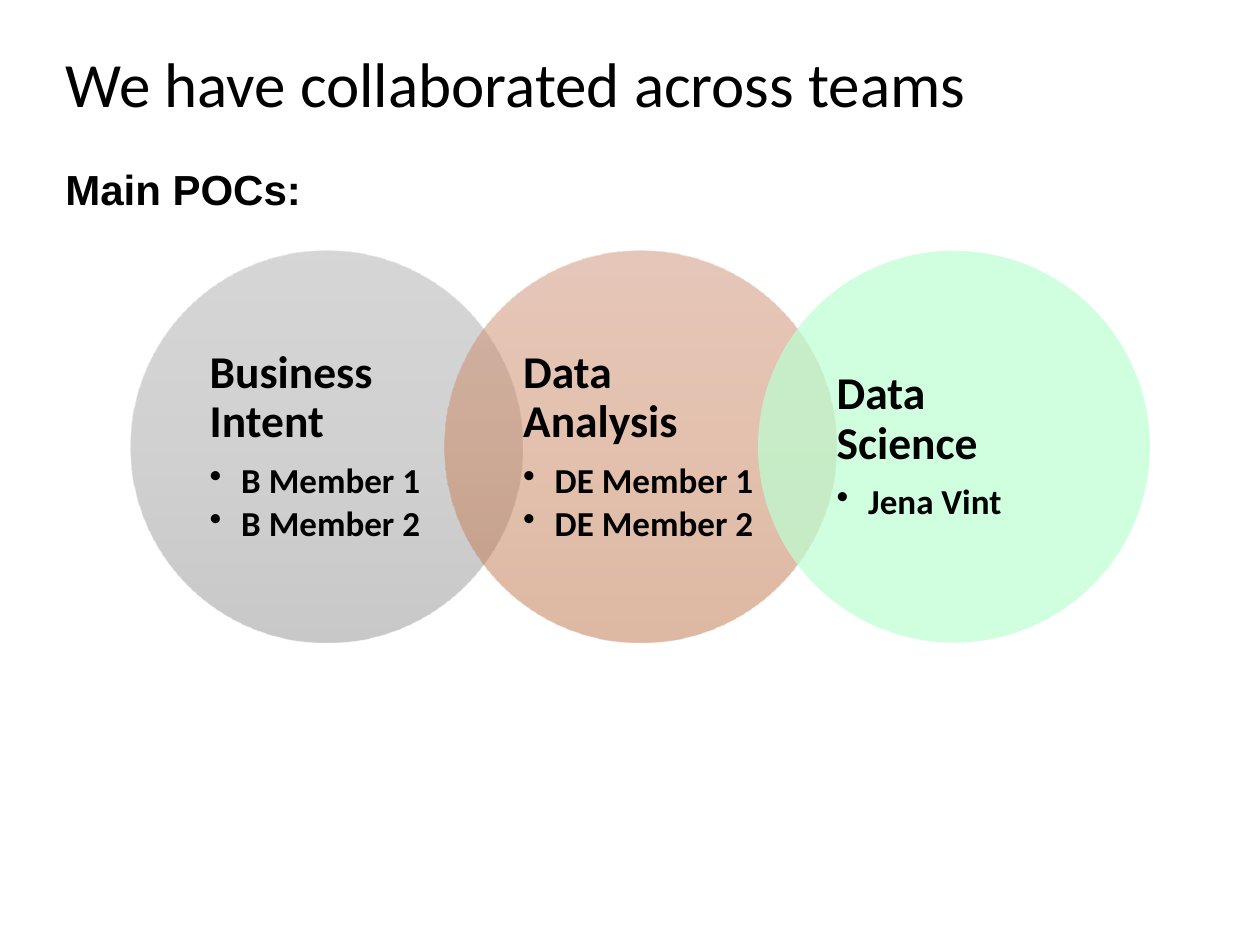
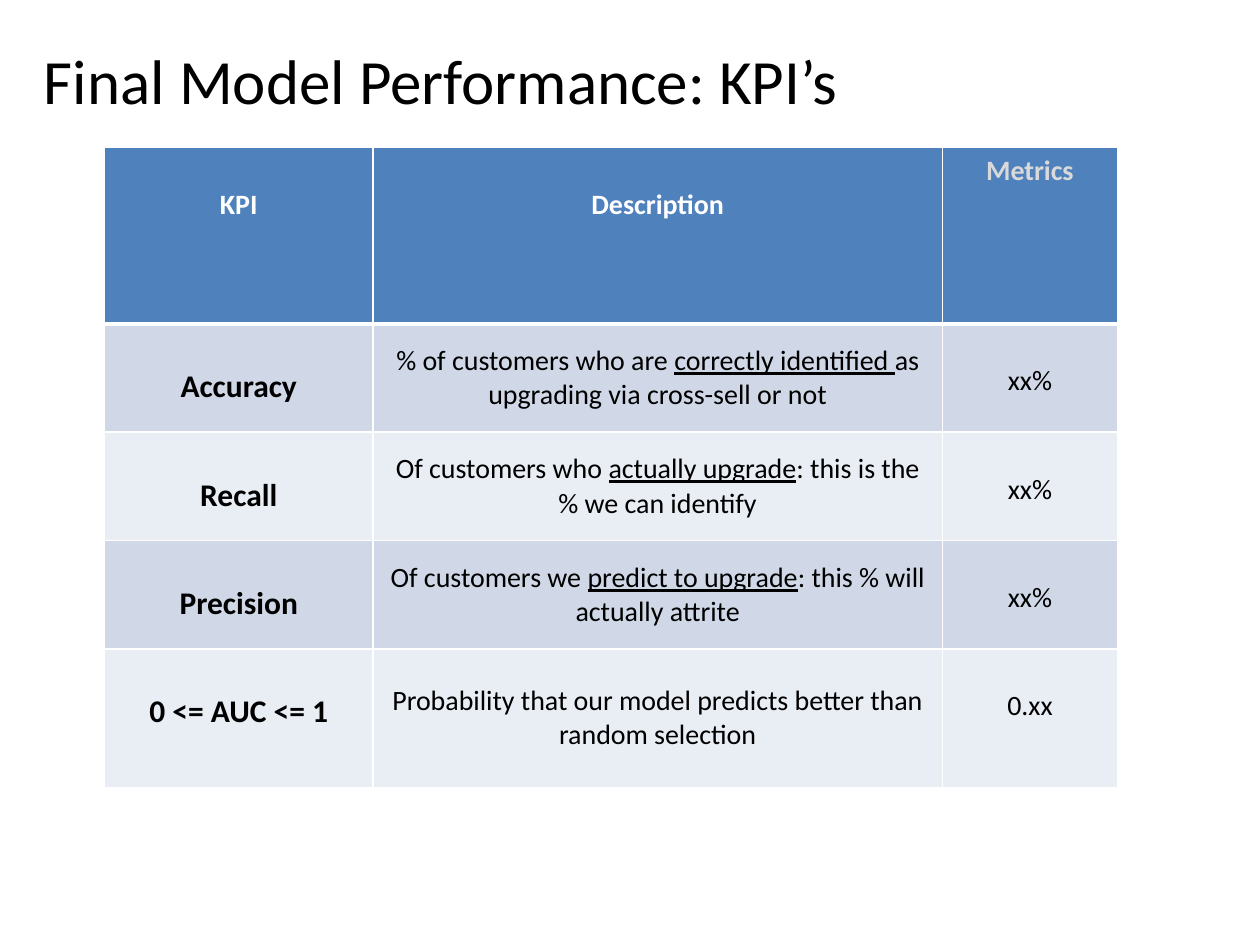
"""Builds two slides: the collaborating teams and the model's KPI table."""
from lxml.etree import SubElement
from pptx import Presentation
from pptx.dml.color import RGBColor
from pptx.enum.shapes import MSO_SHAPE as Shape
from pptx.enum.text import MSO_ANCHOR as Anchor, PP_ALIGN as Align
from pptx.oxml.ns import qn
from pptx.util import Inches, Pt

COLUMNS, ROWS = 100, 75
COLORS = {
    "ink": "000000", "white": "FFFFFF", "muted": "D9D9D9",
    "header": "4F81BD", "band_dark": "D0D8E8", "band_light": "E9EDF4",
    "grey_top": "AFAFAF", "grey_mid": "A5A5A5", "grey_low": "939393",
    "clay_top": "CF9073", "clay_mid": "CB855D", "clay_low": "BD7147",
    "mint": "BBFFD2",
}
TEAMS = [
    ("Business Intent", ["B Member 1", "B Member 2"], ["grey_top", "grey_mid", "grey_low"], 50),
    ("Data Analysis", ["DE Member 1", "DE Member 2"], ["clay_top", "clay_mid", "clay_low"], 50),
    ("Data Science", ["Jena Vint"], ["mint"], 70),
]
KPIS = [
    ("Accuracy", ["% of customers who are ", "correctly identified ",
                  "as upgrading via cross-sell or not"], "xx%"),
    ("Recall", ["Of customers who ", "actually upgrade",
                ": this is the % we can identify"], "xx%"),
    ("Precision", ["Of customers we ", "predict to upgrade",
                   ": this % will actually attrite"], "xx%"),
    ("0 <= AUC <= 1", ["Probability that our model predicts better than random selection"],
     "0.xx"),
]


class Deck:
    """Holds the shared style and the current slide."""

    def __init__(self):
        """Open an empty 10 by 7.5 inch presentation."""
        self.show = Presentation()
        self.show.slide_width, self.show.slide_height = Inches(10), Inches(7.5)
        self.column = self.show.slide_width / COLUMNS
        self.row = self.show.slide_height / ROWS

    def place(self, left, top, width, height):
        """Turn grid columns and rows into slide lengths."""
        return (round(left * self.column), round(top * self.row),
                round(width * self.column), round(height * self.row))

    def style(self, paragraph, size, color="ink", bold=False, font="Calibri"):
        """Format every run of a paragraph."""
        for run in paragraph.runs:
            run.font.size, run.font.bold, run.font.name = Pt(size), bold, font
            run.font.color.rgb = RGBColor.from_string(COLORS[color])

    def text(self, area, words, size, parent=None, anchor=Anchor.TOP, **look):
        """Add a wrapping text box and return its frame."""
        frame = (parent or self.slide).shapes.add_textbox(*self.place(*area)).text_frame
        frame.word_wrap, frame.vertical_anchor = True, anchor
        frame.text = words
        self.style(frame.paragraphs[0], size, **look)
        return frame

    def titled_slide(self, title, area):
        """Start a blank slide with the shared title style."""
        self.slide = self.show.slides.add_slide(self.show.slide_layouts[6])
        self.text(area, title, 36, anchor=Anchor.MIDDLE).paragraphs[0].line_spacing = 0.9

    def circle(self, parent, area, shades, opacity):
        """Add a see-through circle with a plain or vertical gradient fill."""
        disc = parent.shapes.add_shape(Shape.OVAL, *self.place(*area))
        disc.shadow.inherit = False
        disc.line.fill.background()
        if len(shades) == 1:
            disc.fill.solid()
            disc.fill.fore_color.rgb = RGBColor.from_string(COLORS[shades[0]])
        else:
            disc.fill.gradient()
            disc.fill.gradient_angle = 270
            stops = next(disc._element.spPr.iter(qn("a:gsLst")))
            stops.clear()
            for index, shade in enumerate(shades):
                position = index * 100000 // (len(shades) - 1)
                stop = SubElement(stops, qn("a:gs"), pos=str(position))
                SubElement(stop, qn("a:srgbClr"), val=COLORS[shade])
        for tint in disc._element.spPr.iter(qn("a:srgbClr")):
            SubElement(tint, qn("a:alpha"), val=str(opacity * 1000))

    def team(self, parent, area, name, members):
        """Add a team's name with its members as bullets."""
        frame = self.text(area, name, 26, parent, Anchor.MIDDLE, bold=True)
        frame.margin_left = frame.margin_right = Inches(0.17)
        frame.margin_top = frame.margin_bottom = Inches(0.04)
        frame.paragraphs[0].space_after = Pt(9)
        for member in members:
            line = frame.add_paragraph()
            line.text, line.level, line.space_after = member, 1, Pt(3)
            self.style(line, 20, bold=True)
            props = line._p.get_or_add_pPr()
            props.set("marL", str(Inches(0.25)))
            props.set("indent", str(-Inches(0.25)))
            SubElement(props, qn("a:buChar"), char="•")
        for line in frame.paragraphs:
            line.line_spacing = 0.9

    def table(self, area, widths, heights):
        """Add a table with the given column widths and row heights."""
        grid = self.slide.shapes.add_table(len(heights), len(widths), *self.place(*area)).table
        for column, width in zip(grid.columns, widths):
            column.width = round(width * self.column)
        for row, height in zip(grid.rows, heights):
            row.height = round(height * self.row)
        return grid

    def cell(self, cell, parts, fill, size=16, drop=0.05, anchor=Anchor.TOP, edges=(1, 1), **look):
        """Fill a cell; its second part is underlined, edges are top and bottom widths."""
        cell.vertical_anchor, cell.margin_top = anchor, Inches(drop)
        line = cell.text_frame.paragraphs[0]
        line.alignment = Align.CENTER
        for index, part in enumerate(parts):
            run = line.add_run()
            run.text, run.font.underline = part, index == 1
        self.style(line, size, **look)
        props = cell._tc.get_or_add_tcPr()
        for side, width in zip("LRTB", (1, 1, *edges)):
            border = SubElement(props, qn(f"a:ln{side}"), w=str(Pt(width)))
            SubElement(SubElement(border, qn("a:solidFill")), qn("a:srgbClr"), val=COLORS["white"])
        cell.fill.solid()
        cell.fill.fore_color.rgb = RGBColor.from_string(COLORS[fill])


def teams_slide(deck):
    """Draw the overlapping team circles."""
    deck.titled_slide("We have collaborated across teams", (4.2, 3.1, 93.3, 7.7))
    circles = deck.slide.shapes.add_group_shape()
    left, top, diameter, label = 10.4, 19.9, 31.1, 22
    inset = (diameter - label) / 2
    for index, (name, members, shades, opacity) in enumerate(TEAMS):
        start = left + index * diameter * 0.8
        deck.circle(circles, (start, top, diameter, diameter), shades, opacity)
        deck.team(circles, (start + inset, top + inset, label, label), name, members)
    deck.text((4.2, 12.5, 29.2, 5), "Main POCs:", 24, bold=True, font="Arial")


def kpi_slide(deck):
    """Draw the KPI table."""
    deck.titled_slide("Final Model Performance: KPI’s", (2.5, 3.3, 86.2, 6.8))
    grid = deck.table((8.3, 11.7, 80.4, 50.8), (21.3, 45.2, 13.9), (14, 8.6, 8.6, 8.6, 11))
    headings = [("KPI", "white", 0.32), ("Description", "white", 0.32), ("Metrics", "muted", 0.05)]
    for column, (heading, color, drop) in enumerate(headings):
        deck.cell(grid.cell(0, column), [heading], "header", drop=drop, edges=(1, 3),
                  color=color, bold=True)
    for row, (name, description, metric) in enumerate(KPIS, 1):
        band = "band_dark" if row % 2 else "band_light"
        edges = (3 if row == 1 else 1, 1)
        deck.cell(grid.cell(row, 0), [name], band, 18, 0.35, edges=edges, bold=True)
        deck.cell(grid.cell(row, 1), description, band, anchor=Anchor.MIDDLE, edges=edges)
        deck.cell(grid.cell(row, 2), [metric], band, drop=0.32, edges=edges)


def main():
    """Build and save the slides."""
    deck = Deck()
    teams_slide(deck)
    kpi_slide(deck)
    deck.show.save("out.pptx")


if __name__ == "__main__":
    main()
